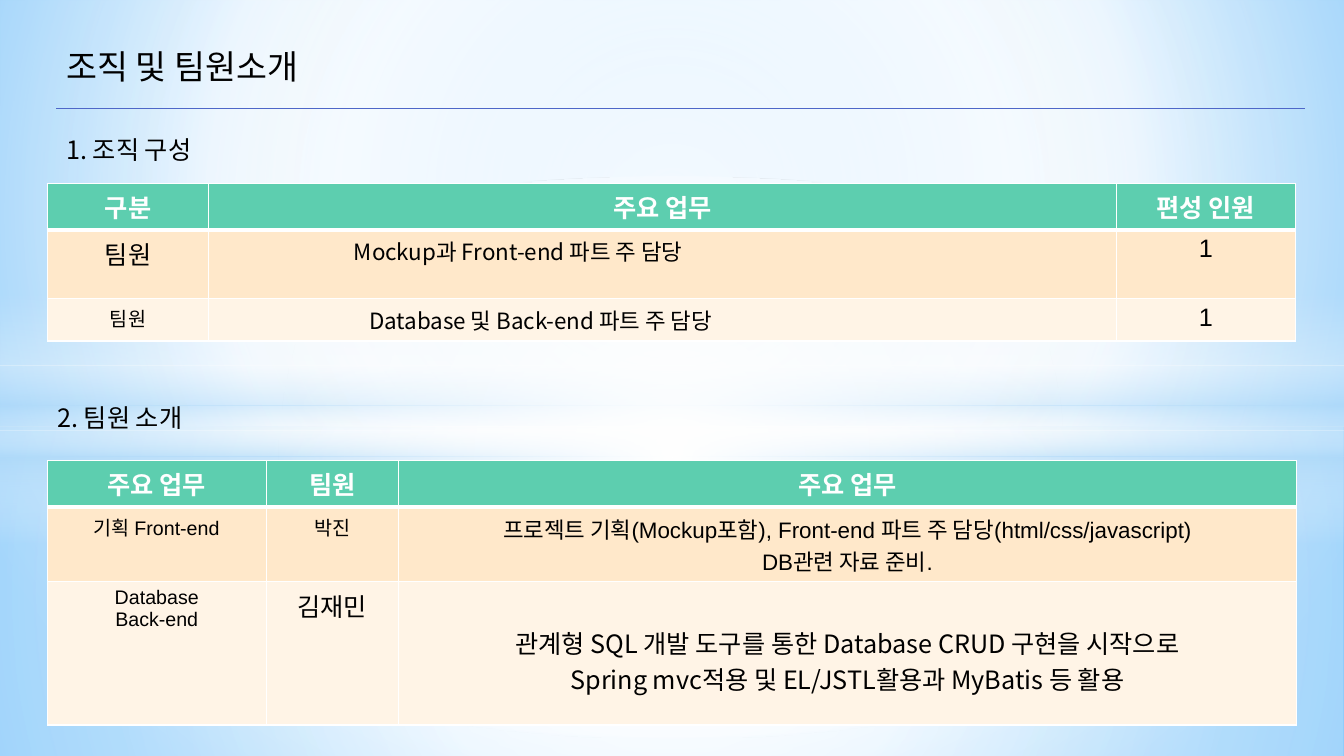
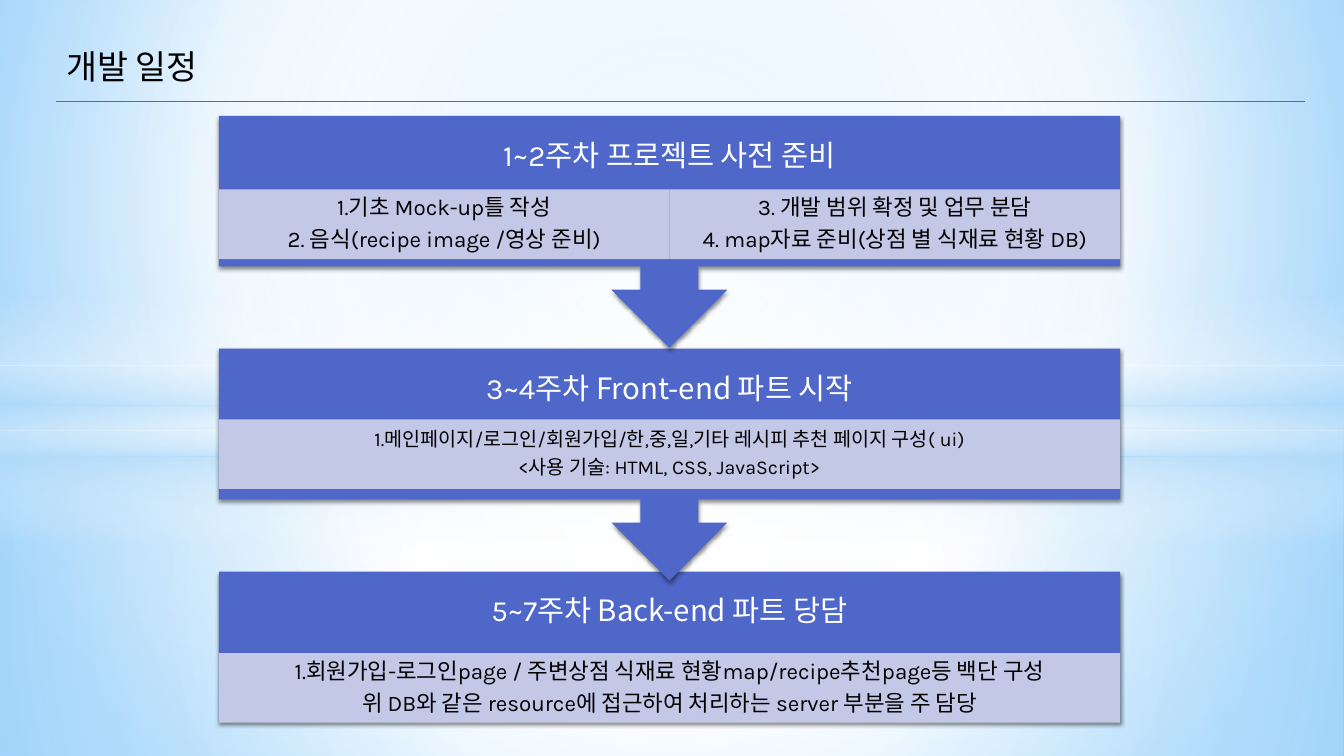
"""Build the team introduction and development schedule slides."""
from dataclasses import dataclass

from lxml import etree
from pptx import Presentation
from pptx.dml.color import RGBColor
from pptx.enum import shapes, text
from pptx.oxml import parse_xml
from pptx.oxml.ns import nsdecls, qn
from pptx.util import Inches, Pt


@dataclass(frozen=True)
class Theme:
    """Colours, fonts and type sizes."""
    blue: str = "4E67C8"
    strip: str = "D0D3EB"
    green: str = "5DCEAF"
    bands: tuple = ("FFE8CA", "FFF4E6")
    white: str = "FFFFFF"
    black: str = "000000"
    korean: str = "Noto Sans CJK KR"
    arial: str = "Arial"
    karla: str = "Karla"
    title: int = 24
    phase: int = 21
    head: int = 18
    body: int = 16
    small: int = 14


T = Theme()
WIDTH, HEIGHT = 13.33, 7.5
LEFT, RIGHT = 0.56, 12.94

BACKGROUND = [(0, "9ED5FF", 100), (60, "FFFFFF", 100), (100, "5BB9FF", 100)]
CENTRE = (50, 50, 50, 50)
HORIZON_TOP, HORIZON_H = 2.9, 2.5
HORIZON = [(0, "FFFFFF", 0), (29, "FFFFFF", 30), (45, "B4DCFA", 40),
           (55, "FFFFFF", 26), (65, "B4DCFA", 60), (100, "FFFFFF", 0)]
GLOWS = [
    ("rect", (0, 4.23, WIDTH, 3.27), CENTRE,
     [(0, "FFFFFF", 91), (37, "FFFFFF", 76), (100, "B4DCFA", 79)]),
    ("rect", (0, 0, WIDTH, 4.23), CENTRE,
     [(0, "FFFFFF", 89), (48, "FFFFFF", 62), (100, "B4DCFA", 79)]),
    *[("rect", (0, HORIZON_TOP + HORIZON_H * a[0] / 100, WIDTH, HORIZON_H * (b[0] - a[0]) / 100),
       None, [(0, *a[1:]), (100, *b[1:])])
      for a, b in zip(HORIZON, HORIZON[1:])],
    ("ellipse", (0, 1.75, WIDTH, 5.58), CENTRE,
     [(0, "FFFFFF", 100), (54, "FFFFFF", 0)]),
]

SECTIONS = [
    dict(
        heading="1. 조직 구성", heading_at=(0.56, 1.28), top=1.82,
        cols=(1.6, 9, 1.78), rows=(0.46, 0.68, 0.42),
        head=("구분", "주요 업무", "편성 인원"),
        body=[
            [dict(lines=["팀원"]),
             dict(lines=["Mockup과 Front-end 파트 주 담당"], size=T.body, font=T.korean, left=1.44),
             dict(lines=["1"])],
            [dict(lines=["팀원"], size=T.small),
             dict(lines=["Database 및 Back-end 파트 주 담당"], size=T.body, font=T.korean, left=1.59),
             dict(lines=["1"])],
        ],
    ),
    dict(
        heading="2. 팀원 소개", heading_at=(0.47, 3.94), top=4.57,
        cols=(2.17, 1.31, 8.91), rows=(0.46, 0.73, 1.42),
        head=("주요 업무", "팀원", "주요 업무"),
        body=[
            [dict(lines=["기획 Front-end"], size=T.small),
             dict(lines=["박진"], size=T.small),
             dict(lines=["프로젝트 기획(Mockup포함), Front-end 파트 주 담당(html/css/javascript)",
                         "DB관련 자료 준비."], size=T.body)],
            [dict(lines=["Database", "Back-end"], size=T.small),
             dict(lines=["김재민"]),
             dict(lines=["관계형 SQL 개발 도구를 통한 Database CRUD 구현을 시작으로",
                         "Spring mvc적용 및 EL/JSTL활용과 MyBatis 등 활용"], font=T.korean, top=0.42)],
        ],
    ),
]

PHASES = [
    dict(top=1.15, strip=0.73, size=T.body,
         title=[("1~2주차 프로젝트 사전 준비", T.karla)],
         tasks=[["1.기초 Mock-up틀 작성", "2. 음식(recipe image /영상 준비)"],
                ["3. 개발 범위 확정 및 업무 분담", "4. map자료 준비(상점 별 식재료 현황 DB)"]]),
    dict(top=3.46, strip=0.7, size=T.small,
         title=[("3~4주차 ", T.karla), ("Front-end 파트 시작", T.korean)],
         tasks=[["1.메인페이지/로그인/회원가입/한,중,일,기타 레시피 추천 페이지 구성( ui)",
                 "<사용 기술: HTML, CSS, JavaScript>"]]),
    dict(top=5.67, strip=0.81, size=T.body,
         title=[("5~7주차", T.karla), (" Back-end 파트 당담", T.korean)],
         tasks=[["1.회원가입-로그인page / 주변상점 식재료 현황map/recipe추천page등 백단 구성",
                 "위 DB와 같은 resource에 접근하여 처리하는 server 부분을 주 담당"]]),
]
PHASE_LEFT, PHASE_W, CALLOUT_H, BOX_H = 2.17, 8.94, 2.3, 1.49
TITLE_H, STRIP_H = 0.81, 0.69


def inches(*values):
    return [Inches(v) for v in values]


def rgb(code):
    return RGBColor.from_string(code)


def gradient(stops, focus):
    marks = "".join(
        f'<a:gs pos="{pos * 1000}"><a:srgbClr val="{code}">'
        f'<a:alpha val="{alpha * 1000}"/></a:srgbClr></a:gs>'
        for pos, code, alpha in stops)
    if focus:
        sides = " ".join(f'{k}="{v * 1000}"' for k, v in zip("ltrb", focus))
        way = f'<a:path path="circle"><a:fillToRect {sides}/></a:path>'
    else:
        way = '<a:lin ang="5400000" scaled="0"/>'
    return f'<a:gradFill {nsdecls("a")} rotWithShape="1"><a:gsLst>{marks}</a:gsLst>{way}</a:gradFill>'


def style_master(prs):
    master = prs.slide_master
    master.background.fill.solid()
    bg = master.element.find(".//" + qn("p:bgPr"))
    bg.replace(bg[0], parse_xml(gradient(BACKGROUND, (20, 10, 20, 60))))
    for i, (preset, box, focus, stops) in enumerate(GLOWS):
        x, y, w, h = inches(*box)
        master.shapes.element.insert(2 + i, parse_xml(
            f'<p:sp {nsdecls("p", "a")}><p:nvSpPr><p:cNvPr id="{101 + i}" name="Glow {i + 1}"/>'
            f'<p:cNvSpPr/><p:nvPr userDrawn="1"/></p:nvSpPr><p:spPr><a:xfrm>'
            f'<a:off x="{x}" y="{y}"/><a:ext cx="{w}" cy="{h}"/></a:xfrm>'
            f'<a:prstGeom prst="{preset}"><a:avLst/></a:prstGeom>'
            f'{gradient(stops, focus)}<a:ln><a:noFill/></a:ln></p:spPr></p:sp>'))


def add_run(p, words, size, font, color=T.black, bold=False):
    r = p.add_run()
    r.text = words
    r.font.size, r.font.name, r.font.bold = Pt(size), font, bold
    r.font.color.rgb = rgb(color)
    etree.SubElement(r.font._element, qn("a:ea")).set("typeface", T.korean)


def paragraphs(tf, count, align=text.PP_ALIGN.CENTER):
    ps = [tf.paragraphs[0]] + [tf.add_paragraph() for _ in range(count - 1)]
    for p in ps:
        p.alignment = align
    return ps


def set_frame(tf, margins, anchor):
    tf.word_wrap = True
    tf.auto_size = text.MSO_AUTO_SIZE.NONE
    tf.margin_left, tf.margin_top, tf.margin_right, tf.margin_bottom = inches(*margins)
    tf.vertical_anchor = anchor


def label(sp, words, size):
    set_frame(sp.text_frame, (0.1, 0.05, 0.1, 0.05), text.MSO_ANCHOR.TOP)
    p, = paragraphs(sp.text_frame, 1, text.PP_ALIGN.LEFT)
    add_run(p, words, size, T.korean)


def new_slide(prs, title, rule_y):
    s = prs.slides.add_slide(prs.slide_layouts[5])
    sp = s.shapes.title
    sp.left, sp.top, sp.width, sp.height = inches(LEFT, 0.41, 4.83, 0.5)
    label(sp, title, T.title)
    rule = s.shapes.add_connector(shapes.MSO_CONNECTOR.STRAIGHT, *inches(LEFT, rule_y, RIGHT, rule_y))
    rule.line.color.rgb, rule.line.width = rgb(T.blue), Pt(0.75)
    etree.SubElement(rule._element.spPr, qn("a:effectLst"))
    return s


def fill_cell(cell, color, lines, size=T.head, font=T.arial, left=None, top=0.05, header=False):
    tc_pr = cell._tc.get_or_add_tcPr()
    for side in "LRTB":
        width = Pt(3 if header and side == "B" else 1)
        tc_pr.append(parse_xml(
            f'<a:ln{side} {nsdecls("a")} w="{width}"><a:solidFill>'
            f'<a:srgbClr val="{T.white}"/></a:solidFill></a:ln{side}>'))
    cell.fill.solid()
    cell.fill.fore_color.rgb = rgb(color)
    cell.margin_left, cell.margin_top = inches(left or 0.1, top)
    align = text.PP_ALIGN.LEFT if left else text.PP_ALIGN.CENTER
    for p, line in zip(paragraphs(cell.text_frame, len(lines), align), lines):
        add_run(p, line, size, font, T.white if header else T.black, header)


def add_section(s, section):
    sp = s.shapes.add_textbox(*inches(*section["heading_at"], 2.74, 0.4))
    label(sp, section["heading"], T.head)
    cols, rows = section["cols"], section["rows"]
    table = s.shapes.add_table(
        len(rows), len(cols), *inches(0.47, section["top"], sum(cols), sum(rows))).table
    for col, width in zip(table.columns, cols):
        col.width = Inches(width)
    for row, height in zip(table.rows, rows):
        row.height = Inches(height)
    for c, words in enumerate(section["head"]):
        fill_cell(table.cell(0, c), T.green, [words], header=True)
    for r, (band, cells) in enumerate(zip(T.bands, section["body"]), 1):
        for c, content in enumerate(cells):
            fill_cell(table.cell(r, c), band, **content)


def add_block(s, preset, box, color):
    sp = s.shapes.add_shape(preset, *inches(*box))
    sp.shadow.inherit = False
    sp.fill.solid()
    sp.fill.fore_color.rgb = rgb(color)
    sp.line.fill.background()
    return sp


def add_phase(s, phase, last):
    preset = shapes.MSO_SHAPE.RECTANGLE if last else shapes.MSO_SHAPE.DOWN_ARROW_CALLOUT
    box = (PHASE_LEFT, phase["top"], PHASE_W, BOX_H if last else CALLOUT_H)
    sp = add_block(s, preset, box, T.blue)
    sp._element.spPr.find(qn("a:effectLst")).append(parse_xml(
        f'<a:outerShdw {nsdecls("a")} blurRad="{Pt(3.1)}" dist="{Pt(1.8)}" dir="5400000" '
        f'rotWithShape="0"><a:srgbClr val="{T.black}"><a:alpha val="45000"/></a:srgbClr></a:outerShdw>'))
    set_frame(sp.text_frame, (0.16, 0.16, 0.16, BOX_H - TITLE_H + 0.16), text.MSO_ANCHOR.MIDDLE)
    p, = paragraphs(sp.text_frame, 1)
    p.line_spacing = 0.9
    for words, font in phase["title"]:
        add_run(p, words, T.phase, font, T.white)

    width = PHASE_W / len(phase["tasks"])
    for i, lines in enumerate(phase["tasks"]):
        box = (PHASE_LEFT + i * width, phase["top"] + phase["strip"], width, STRIP_H)
        sp = add_block(s, shapes.MSO_SHAPE.RECTANGLE, box, T.strip)
        tint = sp._element.spPr.find(qn("a:solidFill"))[0]
        etree.SubElement(tint, qn("a:alpha")).set("val", "90000")
        set_frame(sp.text_frame, (0.12, 0.02, 0.12, 0.02), text.MSO_ANCHOR.MIDDLE)
        for p, line in zip(paragraphs(sp.text_frame, len(lines)), lines):
            p.line_spacing, p.space_after = 0.9, Pt(phase["size"] * 0.35)
            add_run(p, line, phase["size"], T.karla)


def main():
    prs = Presentation()
    prs.slide_width, prs.slide_height = inches(WIDTH, HEIGHT)
    style_master(prs)

    s = new_slide(prs, "조직 및 팀원소개", 1.08)
    for section in SECTIONS:
        add_section(s, section)

    s = new_slide(prs, "개발 일정", 1.01)
    for phase in reversed(PHASES):
        add_phase(s, phase, phase is PHASES[-1])

    prs.save("out.pptx")


if __name__ == "__main__":
    main()
